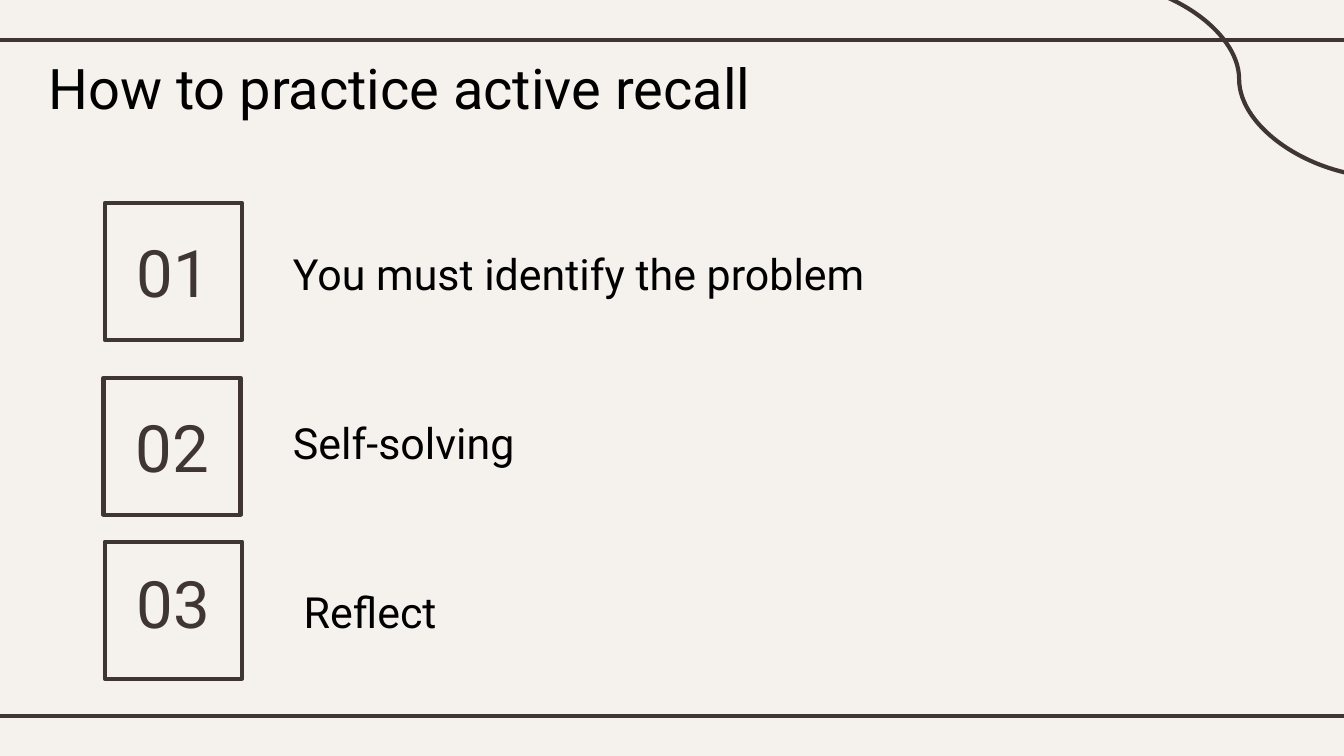
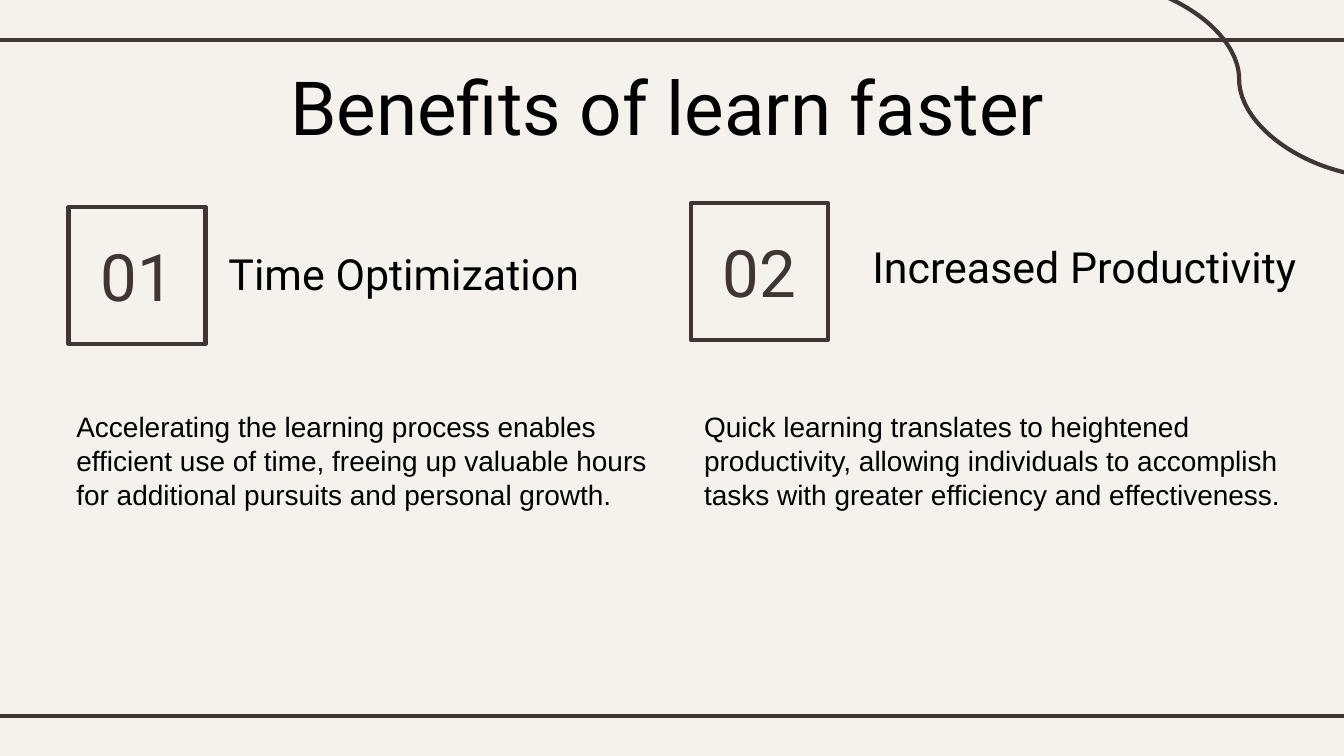
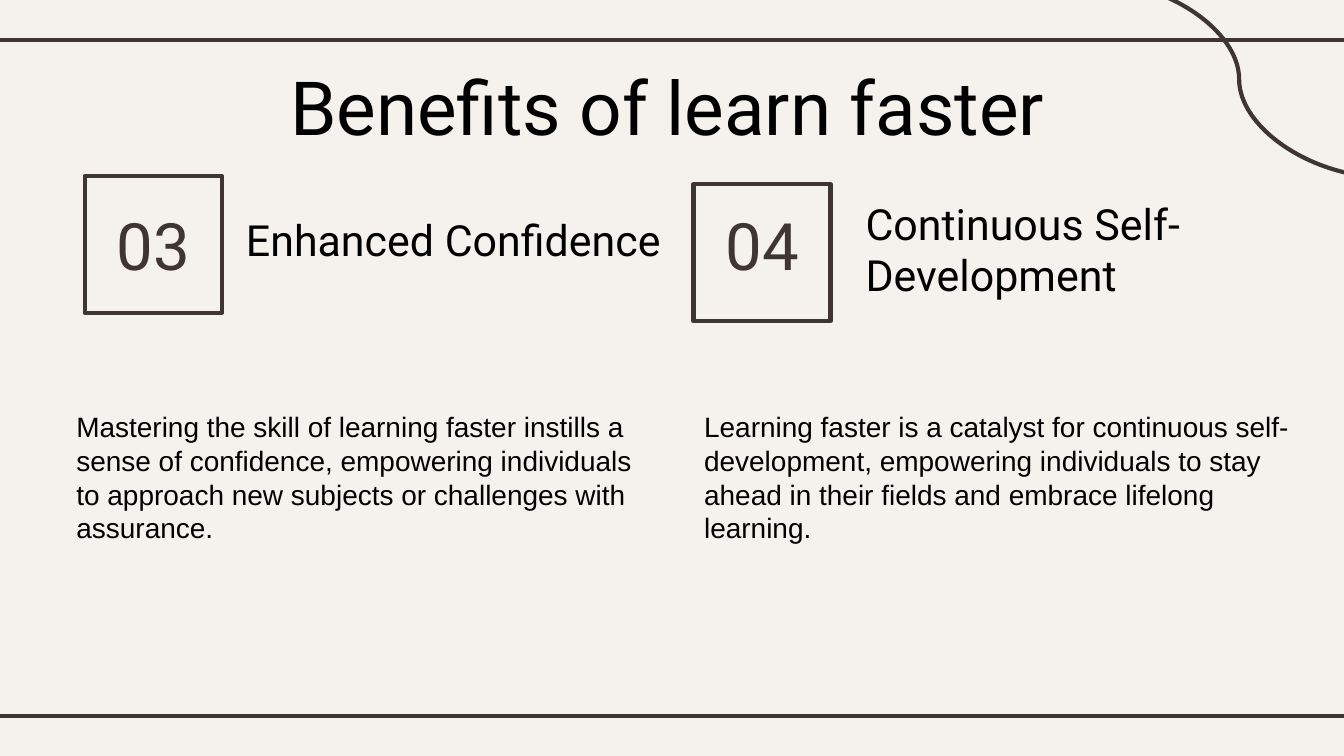
from pptx import Presentation
from pptx.dml.color import RGBColor
from pptx.enum.shapes import MSO_CONNECTOR as Connector, MSO_SHAPE as Shape
from pptx.enum.text import MSO_ANCHOR as Anchor, MSO_AUTO_SIZE as AutoSize, PP_ALIGN as Align
from pptx.oxml.ns import qn
from pptx.util import Emu, Inches, Pt

# Shared look
PAPER, INK, BLACK = "F5F2EE", "3F3533", "000000"
DISPLAY_FONT, BODY_FONT = "Roboto", "Arial"
LINE_WIDTH = 2.25

# Grid: 100 columns across, rows of the same size
SLIDE_WIDTH, SLIDE_HEIGHT = Inches(10), Inches(5.625)
CELL = SLIDE_WIDTH / 100
SQUARE = 10.2
LABEL_WIDTH, LABEL_HEIGHT = 11.1, 7.3
DESCRIPTION_ROW = 29.5

# Two-column slides: (number, square, lift, heading box, heading, description)
BENEFITS = [
    [("01", (5.1, 15.4), 0, (16, 17.4, 30.6, 5.4), "Time Optimization",
      "Accelerating the learning process enables efficient use of time, "
      "freeing up valuable hours for additional pursuits and personal growth."),
     ("02", (51.4, 15.1), 0, (63.9, 16.9, 34, 5.4), "Increased Productivity",
      "Quick learning translates to heightened productivity, allowing "
      "individuals to accomplish tasks with greater efficiency and effectiveness.")],
    [("03", (6.3, 13.1), 0, (17.3, 14.9, 34, 7.8), "Enhanced Confidence",
      "Mastering the skill of learning faster instills a sense of confidence, "
      "empowering individuals to approach new subjects or challenges with assurance."),
     ("04", (51.6, 13.7), 0.6, (63.4, 13.7, 42.6, 7.8), "Continuous Self-Development",
      "Learning faster is a catalyst for continuous self-development, empowering "
      "individuals to stay ahead in their fields and embrace lifelong learning.")],
]
DESCRIPTION_COLUMNS = [(4.7, 45), (51.4, 45.8)]

# Steps: (number, square, lift, heading box, heading)
STEPS = [
    ("01", (7.8, 15.1), 0, (20.8, 17.4, 51.4, 5.4), "You must identify the problem"),
    ("02", (7.7, 28.1), 0, (20.8, 30, 22, 5.4), "Self-solving"),
    ("03", (7.8, 40.3), 0.6, (21.6, 42.6, 22, 5.4), "Reflect"),
]


def cells(*lengths):
    return [Emu(round(length * CELL)) for length in lengths]


def color(hex_string):
    return RGBColor.from_string(hex_string)


def write_text(shape, text, size, font=DISPLAY_FONT, ink=BLACK,
               align=Align.LEFT, anchor=Anchor.TOP):
    frame = shape.text_frame
    frame.text = text
    frame.word_wrap = True
    frame.auto_size = AutoSize.NONE
    frame.vertical_anchor = anchor
    frame.margin_left = frame.margin_right = Inches(0.1)
    frame.margin_top = frame.margin_bottom = Inches(0.1)
    paragraph = frame.paragraphs[0]
    paragraph.alignment = align
    paragraph.space_before = Pt(0)
    # Placeholders inherit bullets and a hanging indent
    properties = paragraph._p.get_or_add_pPr()
    properties.set("marL", "0")
    properties.set("indent", "0")
    properties.append(properties.makeelement(qn("a:buNone"), {}))
    run_font = paragraph.runs[0].font
    run_font.name, run_font.size, run_font.bold = font, Pt(size), False
    run_font.color.rgb = color(ink)


def fill_placeholder(placeholder, box, text, **text_format):
    placeholder.left, placeholder.top, placeholder.width, placeholder.height = cells(*box)
    write_text(placeholder, text, **text_format)


def add_numbered_square(slide, number, corner, lift):
    left, top = corner
    group = slide.shapes.add_group_shape()
    square = group.shapes.add_shape(Shape.RECTANGLE, *cells(left, top, SQUARE, SQUARE))
    square.shadow.inherit = False
    square.fill.solid()
    square.fill.fore_color.rgb = color(PAPER)
    square.line.color.rgb = color(INK)
    square.line.width = Pt(LINE_WIDTH)
    label = group.shapes.add_textbox(*cells(
        left + (SQUARE - LABEL_WIDTH) / 2, top + (SQUARE - LABEL_HEIGHT) / 2 - lift,
        LABEL_WIDTH, LABEL_HEIGHT))
    write_text(label, number, size=35, ink=INK, align=Align.CENTER, anchor=Anchor.MIDDLE)


def add_description(slide, column, text):
    left, width = column
    box = slide.shapes.add_textbox(*cells(left, DESCRIPTION_ROW, width, 9.6))
    write_text(box, text, size=15, font=BODY_FONT)
    box.text_frame.auto_size = AutoSize.SHAPE_TO_FIT_TEXT


def decorate_layout(layout, slide):
    """Draw the rules and the curve, then move them to the shared layout."""
    layout.background.fill.solid()
    layout.background.fill.fore_color.rgb = color(PAPER)
    for kind, ends in [
        (Connector.STRAIGHT, (-0.8, 3, 100.8, 3)),
        (Connector.STRAIGHT, (-0.8, 53.3, 100.8, 53.3)),
        (Connector.CURVE, (81.3, -1.4, 103.1, 13.2)),
    ]:
        connector = slide.shapes.add_connector(kind, *cells(*ends))
        connector.line.color.rgb = color(INK)
        connector.line.width = Pt(LINE_WIDTH)
        properties = connector.element.spPr
        properties.append(properties.makeelement(qn("a:effectLst"), {}))
        layout.shapes.element.append(connector.element)


def add_slide(presentation, layout, title, title_box, title_size, items):
    slide = presentation.slides.add_slide(layout)
    fill_placeholder(slide.shapes.title, title_box, title, size=title_size)
    bodies = [shape for shape in slide.placeholders if shape != slide.shapes.title]
    for body, (number, corner, lift, heading_box, heading, *_) in zip(bodies, items):
        add_numbered_square(slide, number, corner, lift)
        fill_placeholder(body, heading_box, heading, size=23)
    for unused in bodies[len(items):]:
        unused.element.getparent().remove(unused.element)
    return slide


def main():
    presentation = Presentation()
    presentation.slide_width, presentation.slide_height = SLIDE_WIDTH, SLIDE_HEIGHT
    layout = presentation.slide_layouts.get_by_name("Comparison")

    # Steps of active recall
    steps_slide = add_slide(presentation, layout, "How to practice active recall",
                            (2.6, 3, 92.3, 6.3), 30, STEPS)
    decorate_layout(layout, steps_slide)

    # Benefits, two on each slide
    for benefits in BENEFITS:
        slide = add_slide(presentation, layout, "Benefits of learn faster",
                          (20.6, 3.5, 73.6, 9.7), 40, benefits)
        for column, benefit in zip(DESCRIPTION_COLUMNS, benefits):
            add_description(slide, column, benefit[-1])

    presentation.save("out.pptx")


if __name__ == "__main__":
    main()
